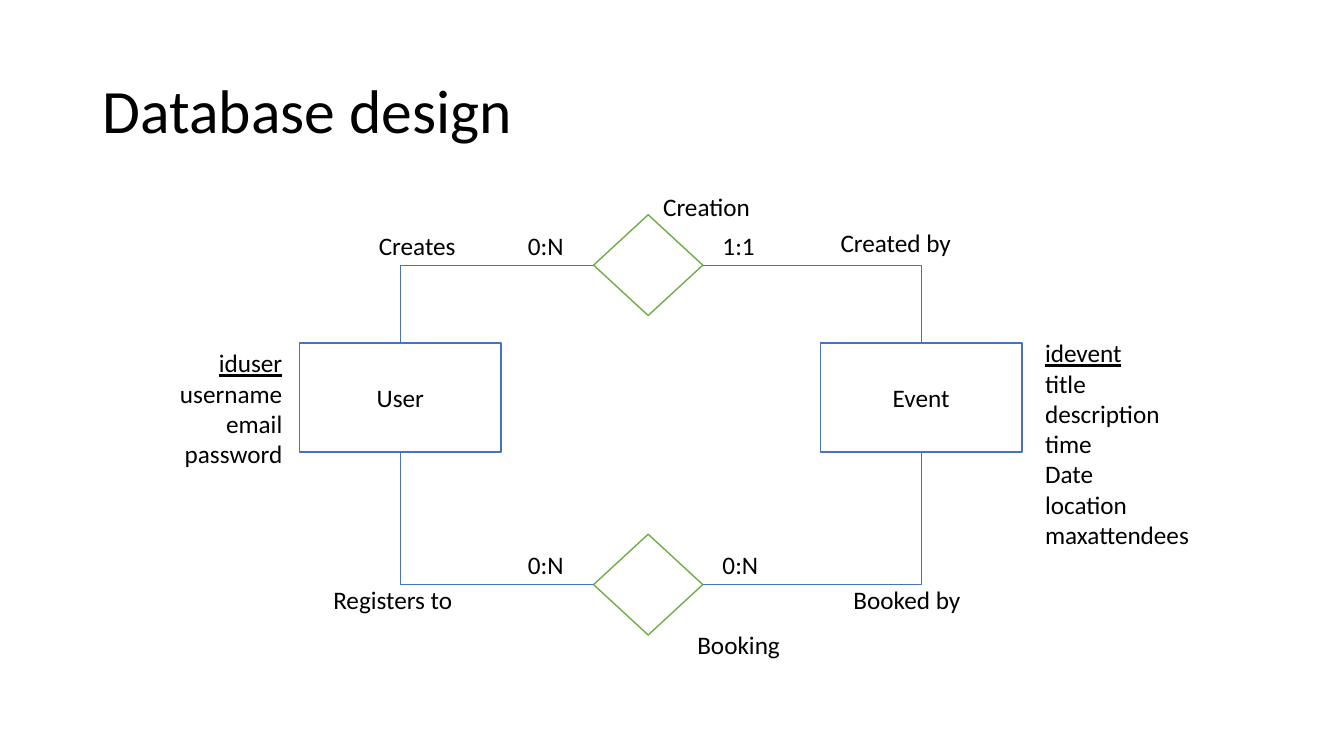
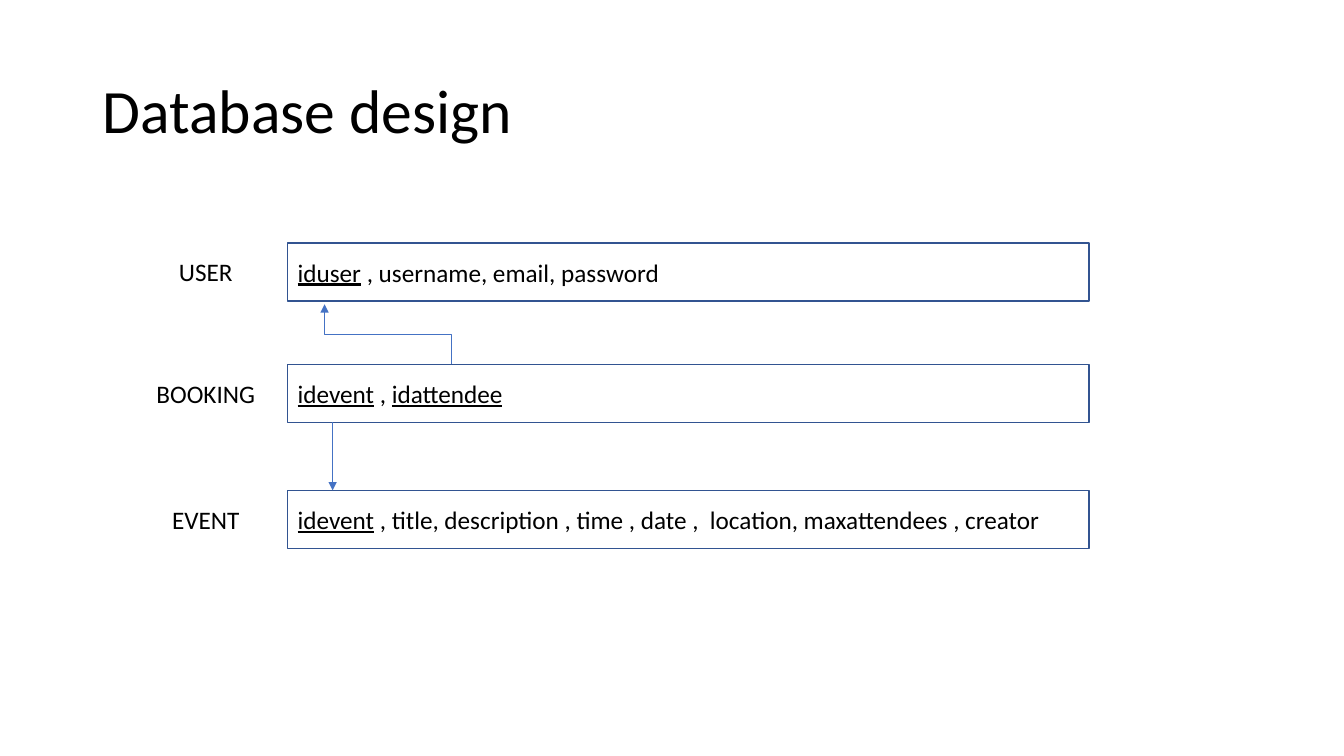
"""Builds two database design slides: an entity-relationship diagram and its relational schema."""
from dataclasses import dataclass

from pptx import Presentation
from pptx.dml.color import RGBColor
from pptx.enum.shapes import MSO_CONNECTOR, MSO_SHAPE
from pptx.enum.text import MSO_ANCHOR, MSO_AUTO_SIZE, PP_ALIGN
from pptx.oxml.ns import qn
from pptx.util import Pt
from lxml.etree import SubElement


@dataclass(frozen=True)
class Theme:
    font: str = "Calibri"
    text: RGBColor = RGBColor(0x00, 0x00, 0x00)
    paper: RGBColor = RGBColor(0xFF, 0xFF, 0xFF)
    entity: RGBColor = RGBColor(0x44, 0x72, 0xC4)
    relation: RGBColor = RGBColor(0x70, 0xAD, 0x47)
    table: RGBColor = RGBColor(0x32, 0x54, 0x91)
    title_size: int = 44
    body_size: int = 18
    outline: float = 1
    link: float = 0.5


THEME = Theme()
TITLE_BOX = (66, 28.8, 828, 104.4)
ENTITY_W, ENTITY_H, ENTITY_Y = 144, 78, 245
DIAMOND_W, DIAMOND_H, DIAMOND_X = 78, 72, 424
LABEL_H = 29
ROW_X, ROW_W, ROW_H = 205.5, 572.4, 41.4
NAME_W = 117

LABELS = [
    ("0:N", 370, 160.6, 40),
    ("1:1", 509, 160.6, 38),
    ("0:N", 370, 388.8, 40),
    ("0:N", 509, 388.8, 40),
    ("Creation", 466.6, 133.2, 77),
    ("Booking", 491, 445.7, 74),
    ("Created by", 593.3, 159.1, 94.3),
    ("Creates", 263.5, 160.6, 70),
    ("Registers to", 231, 414, 100),
    ("Booked by", 602.6, 414, 91.4),
]
USER_FIELDS = ["iduser", "username", "email", "password"]
EVENT_FIELDS = ["idevent", "title", "description", "time", "Date", "location", "maxattendees"]
ROWS = [
    ("USER", 173.5, [("iduser", True), (" , username, email, password", False)]),
    ("BOOKING", 260.3, [("idevent", True), (" , ", False), ("idattendee", True)]),
    ("EVENT", 350.3, [
        ("idevent", True),
        (" , title, description , time , date ,  location, maxattendees , creator", False),
    ]),
]


def pts(*values):
    return [Pt(v) for v in values]


def write(tf, paragraphs, align=PP_ALIGN.LEFT, size=THEME.body_size):
    for i, runs in enumerate(paragraphs):
        p = tf.add_paragraph() if i else tf.paragraphs[0]
        p.alignment = align
        for text, underlined in runs:
            r = p.add_run()
            r.text = text
            r.font.name = THEME.font
            r.font.size = Pt(size)
            r.font.color.rgb = THEME.text
            if underlined:
                r.font.underline = True


def add_slide(prs, title):
    s = prs.slides.add_slide(prs.slide_layouts[5])
    sp = s.shapes.title
    sp.left, sp.top, sp.width, sp.height = pts(*TITLE_BOX)
    tf = sp.text_frame
    tf.auto_size = MSO_AUTO_SIZE.NONE
    tf.vertical_anchor = MSO_ANCHOR.MIDDLE
    write(tf, [[(title, False)]], size=THEME.title_size)
    tf.paragraphs[0].line_spacing = 0.9
    return s


def add_box(s, preset, box, color, runs=(), align=PP_ALIGN.CENTER):
    sp = s.shapes.add_shape(preset, *pts(*box))
    sp.shadow.inherit = False
    sp.fill.solid()
    sp.fill.fore_color.rgb = THEME.paper
    sp.line.color.rgb = color
    sp.line.width = Pt(THEME.outline)
    if runs:
        sp.text_frame.vertical_anchor = MSO_ANCHOR.MIDDLE
        write(sp.text_frame, [runs], align)
    return sp


def add_label(s, box, paragraphs, align=PP_ALIGN.LEFT, wrap=False):
    tf = s.shapes.add_textbox(*pts(*box)).text_frame
    tf.word_wrap = wrap
    tf.auto_size = MSO_AUTO_SIZE.SHAPE_TO_FIT_TEXT
    write(tf, paragraphs, align)


def add_fields(s, box, names, align):
    add_label(s, box, [[(name, i == 0)] for i, name in enumerate(names)], align)


def add_link(s, kind, begin, end, arrow=False):
    cxn = s.shapes.add_connector(kind, *pts(*begin, *end))
    cxn.line.color.rgb = THEME.entity
    cxn.line.width = Pt(THEME.link)
    if arrow:
        SubElement(cxn.line._get_or_add_ln(), qn("a:tailEnd"), type="triangle")
    SubElement(cxn._element.spPr, qn("a:effectLst"))
    return cxn


def add_corner(s, diamond, side, entity, edge):
    begin = (diamond.left + (diamond.width if side == 3 else 0), diamond.top + diamond.height // 2)
    end = (entity.left + entity.width // 2, entity.top + (entity.height if edge == 2 else 0))
    cxn = add_link(s, MSO_CONNECTOR.ELBOW, [v / Pt(1) for v in begin], [v / Pt(1) for v in end])
    cxn._element.spPr.find(qn("a:prstGeom")).set("prst", "bentConnector2")
    cxn.begin_connect(diamond, side)
    cxn.end_connect(entity, edge)


def add_upright_elbow(s, begin, end):
    cx, cy = (begin[0] + end[0]) / 2, (begin[1] + end[1]) / 2
    turned = [(cx - (y - cy), cy + (x - cx)) for x, y in (begin, end)]
    cxn = add_link(s, MSO_CONNECTOR.ELBOW, *turned, arrow=True)
    cxn._element.spPr.find(qn("a:xfrm")).set("rot", str(270 * 60000))


def build_diagram(prs):
    s = add_slide(prs, "Database design")
    user, event = [
        add_box(s, MSO_SHAPE.RECTANGLE, (x, ENTITY_Y, ENTITY_W, ENTITY_H), THEME.entity, [(name, False)])
        for name, x in (("User", 214), ("Event", 586))
    ]
    for y, edge in ((153.4, 0), (381.6, 2)):
        diamond = add_box(s, MSO_SHAPE.DIAMOND, (DIAMOND_X, y, DIAMOND_W, DIAMOND_H), THEME.relation)
        add_corner(s, diamond, 1, user, edge)
        add_corner(s, diamond, 3, event, edge)
    add_fields(s, (120.2, 244.8, 88.6, 94.3), USER_FIELDS, PP_ALIGN.RIGHT)
    add_fields(s, (739.4, 237.6, 118.8, 181.4), EVENT_FIELDS, PP_ALIGN.LEFT)
    for text, x, y, w in LABELS:
        add_label(s, (x, y, w, LABEL_H), [[(text, False)]])


def build_schema(prs):
    s = add_slide(prs, "Database design")
    for name, y, runs in ROWS:
        add_box(s, MSO_SHAPE.RECTANGLE, (ROW_X, y, ROW_W, ROW_H), THEME.table, runs, PP_ALIGN.LEFT)
        name_box = (ROW_X - NAME_W, y + (ROW_H - LABEL_H) / 2, NAME_W, LABEL_H)
        add_label(s, name_box, [[(name, False)]], PP_ALIGN.CENTER, wrap=True)
    booking_y, event_y = ROWS[1][1], ROWS[2][1]
    add_upright_elbow(s, (322.6, booking_y), (231.8, 217.4))
    add_link(s, MSO_CONNECTOR.STRAIGHT, (237.6, booking_y + ROW_H), (237.6, event_y), arrow=True)


def main():
    prs = Presentation()
    prs.slide_width, prs.slide_height = pts(960, 540)
    build_diagram(prs)
    build_schema(prs)
    prs.save("out.pptx")


if __name__ == "__main__":
    main()
